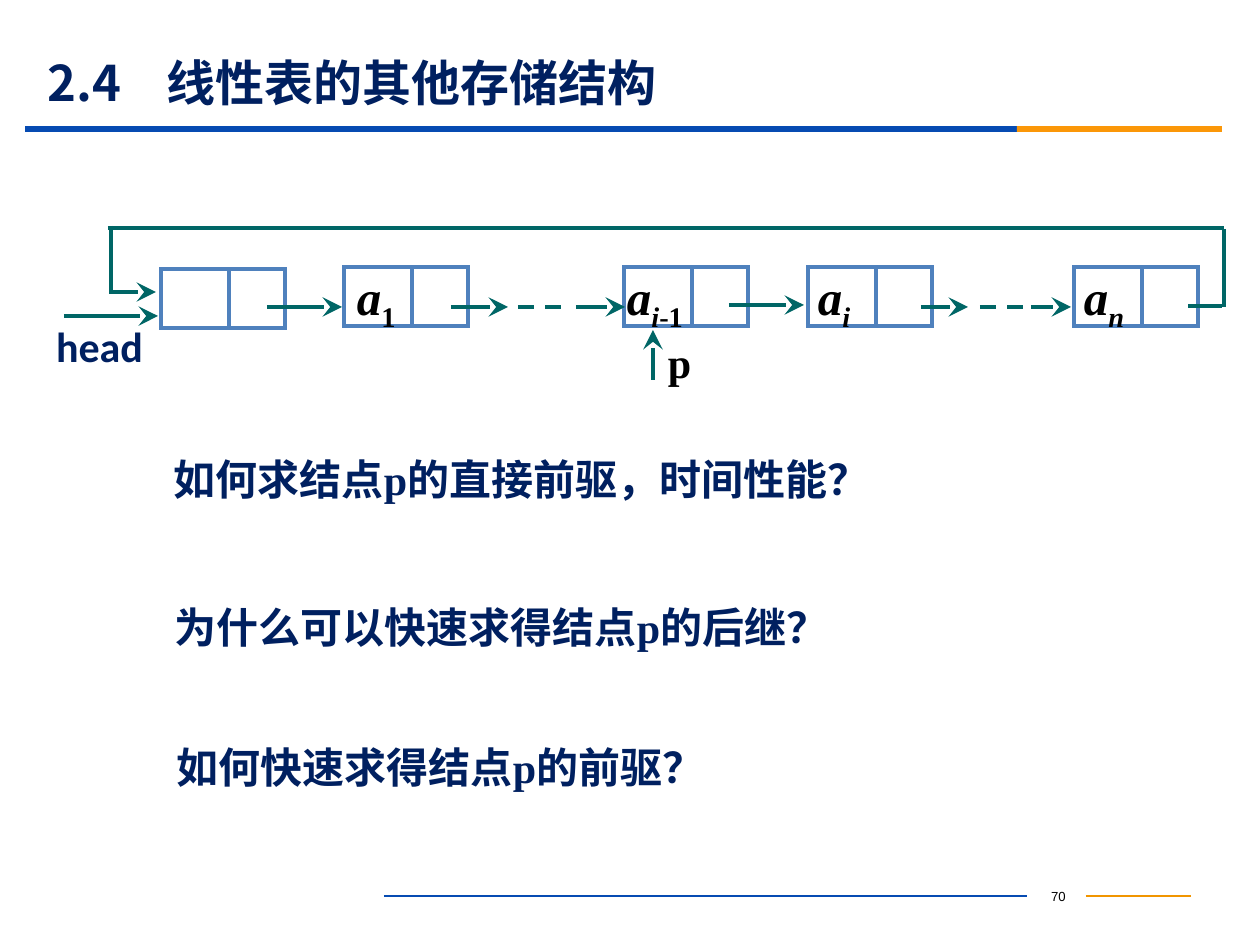
from lxml import etree
from pptx import Presentation
from pptx import util as u
from pptx.dml.color import RGBColor
from pptx.enum import dml, shapes, text
from pptx.oxml.ns import qn

PX = 914400 / 126
NAVY, BLUE, ORANGE, TEAL, NODE, BLACK = "002060", "064BB2", "FB9708", "006666", "4F81BD", "000000"
CJK, SERIF = "Noto Sans CJK SC", "Times New Roman"


def px(n):
    return u.Emu(round(n * PX))


def rgb(value):
    return RGBColor.from_string(value)


class Board:
    def __init__(self, s):
        self.s = s

    def run(self, p, words, size, color, font, bold=True, italic=False, sub=False):
        r = p.add_run()
        r.text = words
        f = r.font
        f.size, f.bold, f.italic, f.name = u.Pt(size), bold, italic, font
        f.color.rgb = rgb(color)
        rPr = f._element
        etree.SubElement(rPr, qn("a:ea")).set("typeface", CJK)
        if sub:
            rPr.set("baseline", "-25000")

    def frame(self, sp, insets, anchor=text.MSO_ANCHOR.TOP):
        tf = sp.text_frame
        tf.word_wrap = True
        tf.vertical_anchor = anchor
        tf.margin_left, tf.margin_top, tf.margin_right, tf.margin_bottom = map(px, insets)
        p = tf.paragraphs[0]
        p.alignment = text.PP_ALIGN.LEFT
        return p

    def label(self, x, y, w, h, words, size=24, color=NAVY, font=SERIF, bold=True,
              insets=(13, 6, 13, 6), anchor=text.MSO_ANCHOR.TOP, align=None, tab=None):
        sp = self.s.shapes.add_textbox(px(x), px(y), px(w), px(h))
        p = self.frame(sp, insets, anchor)
        if align is not None:
            p.alignment = align
        if tab:
            tabs = etree.SubElement(p._p.get_or_add_pPr(), qn("a:tabLst"))
            etree.SubElement(tabs, qn("a:tab"), pos=str(px(tab)), algn="l")
        self.run(p, words, size, color, font, bold)
        return sp

    def rect(self, x, y, w, h, fill=None, line=None):
        sp = self.s.shapes.add_shape(shapes.MSO_SHAPE.RECTANGLE, px(x), px(y), px(w), px(h))
        sp.shadow.inherit = False
        if fill:
            sp.fill.solid()
            sp.fill.fore_color.rgb = rgb(fill)
        else:
            sp.fill.background()
        if line:
            sp.line.color.rgb = rgb(line)
            sp.line.width = u.Pt(2.25)
            etree.SubElement(sp.line._get_or_add_ln(), qn("a:miter"), lim="800000")
        else:
            sp.line.fill.background()
        return sp

    def line(self, x1, y1, x2, y2, color=TEAL, width=2.25, arrow=False, dash=False):
        c = self.s.shapes.add_connector(shapes.MSO_CONNECTOR.STRAIGHT, px(x1), px(y1), px(x2), px(y2))
        c.line.color.rgb = rgb(color)
        c.line.width = u.Pt(width)
        if dash:
            c.line.dash_style = dml.MSO_LINE.DASH
        if arrow:
            etree.SubElement(c.line._get_or_add_ln(), qn("a:tailEnd"), type="stealth", w="lg", len="lg")
        etree.SubElement(c._element.spPr, qn("a:effectLst"))
        return c

    def node(self, x, y, inset=0, runs=()):
        sp = self.rect(x, y, 124, 59, line=NODE)
        p = self.frame(sp, (inset, 0, 0, 10))
        p.line_spacing = 0.9
        for words, italic, sub in runs:
            self.run(p, words, 28, BLACK, SERIF, italic=italic, sub=sub)
        self.line(x + 68, y, x + 68, y + 59, NODE)


def main():
    prs = Presentation()
    prs.slide_width, prs.slide_height = px(1260), px(945)
    b = Board(prs.slides.add_slide(prs.slide_layouts[6]))

    page = b.label(1027, 880, 59, 32, "70", 7.5, BLACK, "Arial", False, insets=(13, 6, 9, 6),
                   anchor=text.MSO_ANCHOR.MIDDLE, align=text.PP_ALIGN.CENTER)
    b.line(1086, 896, 1191, 896, "F19500", 0.75).begin_connect(page, 3)
    b.line(384, 896, 1027, 896, BLUE, 0.75).end_connect(page, 1)
    b.rect(25, 126, 992, 6, BLUE)
    b.rect(1017, 126, 205, 6, ORANGE)
    b.label(35, 55, 1134, 54, "2.4\t线性表的其他存储结构", 28, font=CJK,
            anchor=text.MSO_ANCHOR.MIDDLE, tab=119)

    a = ("a", True, False)
    for x, y, inset, runs in [
        (161, 269, 0, ()),
        (344, 267, 13, (a, ("1", False, True))),
        (624, 267, 3, (a, ("i", True, True), ("-1", False, True))),
        (808, 267, 10, (a, ("i", True, True))),
        (1074, 267, 10, (a, ("n", True, True))),
    ]:
        b.node(x, y, inset, runs)

    for x1, x2, y in [(64, 158, 316), (267, 342, 307), (451, 508, 307), (576, 625, 307),
                      (729, 804, 305), (921, 968, 307), (1031, 1071, 307), (111, 156, 292)]:
        b.line(x1, y, x2, y, arrow=True)
    for x1, x2 in [(518, 562), (980, 1024)]:
        b.line(x1, 307, x2, 307, dash=True)
    for ends in [(1222, 306, 1188, 306), (1224, 229, 1224, 307),
                 (108, 228, 1224, 228), (111, 226, 111, 294)]:
        b.line(*ends)
    b.line(653, 380, 653, 330, arrow=True)

    b.label(56, 321, 105, 64, "head", font="Calibri", insets=(0, 0, 0, 5))
    b.label(668, 337, 24, 50, "p", color=BLACK, insets=(0, 0, 0, 0))
    for x, y, words in [(161, 448, "如何求结点p的直接前驱，时间性能？"),
                        (162, 596, "为什么可以快速求得结点p的后继？"),
                        (164, 736, "如何快速求得结点p的前驱？")]:
        b.label(x, y, 906, 64, words)

    prs.save("out.pptx")


if __name__ == "__main__":
    main()
